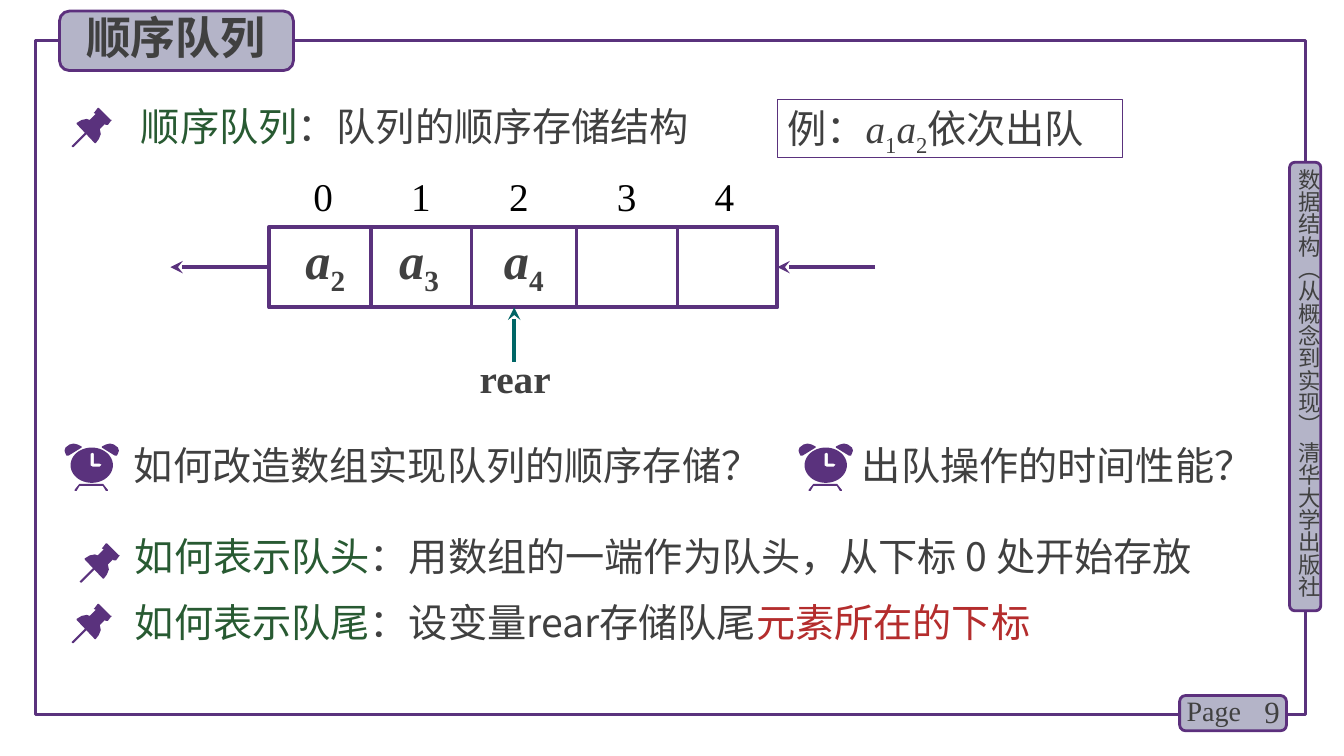
import math
from lxml import etree
from pptx import Presentation
from pptx import util as u
from pptx.dml.color import RGBColor
from pptx.enum import shapes as s, text as t
from pptx.oxml.ns import qn

PX = 9144
SANS, SERIF = "Noto Sans CJK SC", "Times New Roman"
COLOURS = {"purple": "5A327D", "edge": "5C307D", "panel": "B4B4C8", "ink": "404040",
           "green": "285A32", "red": "B42D2D", "teal": "006666", "black": "000000"}
RGB = {name: RGBColor.from_string(value) for name, value in COLOURS.items()}

deck = Presentation()
deck.slide_width, deck.slide_height = 1333 * PX, 750 * PX
page = deck.slides.add_slide(deck.slide_layouts[6])


def write(box, runs, size, font=SANS, align="LEFT", anchor="TOP"):
    frame = box.text_frame
    frame.word_wrap = True
    frame.vertical_anchor = t.MSO_ANCHOR[anchor]
    para = frame.paragraphs[0]
    para.alignment = t.PP_ALIGN[align]
    for words, colour, style in runs:
        span = para.add_run()
        span.text = words
        span.font.color.rgb = RGB[colour]
        look = {"size": u.Pt(size), "name": font, "bold": "b" in style, "italic": "i" in style}
        for name, value in look.items():
            setattr(span.font, name, value)
        props = span._r.get_or_add_rPr()
        etree.SubElement(props, qn("a:ea")).set("typeface", SANS)
        if "_" in style:
            props.set("baseline", "-25000")
    return box


def paint(shape, fill, line=None, width=0):
    shape.shadow.inherit = False
    if fill:
        shape.fill.solid()
        shape.fill.fore_color.rgb = RGB[fill]
    else:
        shape.fill.background()
    if line:
        shape.line.color.rgb = RGB[line]
        shape.line.width = u.Pt(width)
    else:
        shape.line.fill.background()


panels = {}
for name, kind, place, fill, line, width in [
    ("frame", "RECTANGLE", (35, 40, 1260, 669), None, "purple", 2.25),
    ("book", "ROUNDED_RECTANGLE", (1279, 161, 31, 445), "panel", "edge", 2),
    ("number", "ROUNDED_RECTANGLE", (1170, 690, 106, 35), "panel", "edge", 2),
    ("title", "ROUNDED_RECTANGLE", (59, 11, 232, 59), "panel", "edge", 2),
    ("example", "RECTANGLE", (771, 99, 342, 57), None, "purple", 0.75),
    ("array", "RECTANGLE", (267, 225, 504, 80), None, "purple", 3),
]:
    panels[name] = page.shapes.add_shape(s.MSO_SHAPE[kind], *[v * PX for v in place])
    paint(panels[name], fill, line, width)

write(panels["example"], [("例：", "ink", ""), ("a", "ink", "i"), ("1", "ink", "_"),
                          ("a", "ink", "i"), ("2", "ink", "_"), ("依次出队", "ink", "")], 28, SERIF)

labels = [
    ((1220, 686, 59, 40), [("9", "ink", "")], 22, SERIF, "RIGHT", "MIDDLE"),
    ((1167, 683, 78, 44), [("Page", "ink", "")], 20, SERIF),
    ((71, 5, 207, 64), [("顺序队列", "ink", "b")], 32, SANS, "CENTER"),
    ((130, 97, 592, 57), [("顺序队列", "green", ""), ("：队列的顺序存储结构", "ink", "")], 28),
    ((123, 433, 648, 57), [("如何改造数组实现队列的顺序存储？", "ink", "")], 28),
    ((845, 433, 415, 57), [("出队操作的时间性能？", "ink", "")], 28),
    ((124, 523, 1130, 57), [("如何表示队头", "green", ""),
                            ("：用数组的一端作为队头，从下标 0 处开始存放", "ink", "")], 28),
    ((124, 589, 1016, 57), [("如何表示队尾", "green", ""), ("：设变量rear存储队尾", "ink", ""),
                            ("元素所在的下标", "red", "")], 28),
    ((466, 347, 113, 57), [("rear", "ink", "b")], 28, SERIF),
]
for index, left in zip("234", (293, 386, 490)):
    labels.append(((left, 222, 64, 70), [("a", "ink", "bi"), (index, "ink", "b_")], 36, SERIF))
for place, *content in labels:
    write(page.shapes.add_textbox(*[v * PX for v in place]), *content)

book = page.shapes.add_textbox(1285 * PX, 167 * PX, 27 * PX, 449 * PX)
for side in ("left", "top", "right", "bottom"):
    setattr(book.text_frame, f"margin_{side}", 0)
book.text_frame._txBody.bodyPr.set("vert", "eaVert")
write(book, [("数据结构（从概念到实现） 清华大学出版社", "ink", "")], 16)

indexes = page.shapes.add_textbox(301 * PX, 166 * PX, 465 * PX, 57 * PX)
tabs = etree.SubElement(indexes.text_frame.paragraphs[0]._p.get_or_add_pPr(), qn("a:tabLst"))
for stop in (97, 194, 301, 398):
    etree.SubElement(tabs, qn("a:tab"), pos=str(stop * PX), algn="l")
write(indexes, [("0\t1\t2\t3\t4", "black", "")], 28, SERIF)

lines = [((x, 225, x, 305), "purple", 2.25, None) for x in (368, 468, 572, 672)]
lines += [((868, 265, 771, 265), "purple", 3, "enter"),
          ((267, 265, 169, 265), "purple", 3, "leave"),
          ((510, 359, 510, 305), "teal", 3, "rear")]
for ends, colour, width, arrow in lines:
    line = page.shapes.add_connector(s.MSO_CONNECTOR.STRAIGHT, *[v * PX for v in ends])
    line.line.color.rgb = RGB[colour]
    line.line.width = u.Pt(width)
    if arrow:
        etree.SubElement(line.line._get_or_add_ln(), qn("a:tailEnd"), type="stealth")
    if arrow == "enter":
        line.end_connect(panels["array"], 3)
    if arrow == "leave":
        line.begin_connect(panels["array"], 1)
    etree.SubElement(line._element.spPr, qn("a:effectLst"))

pin_head = [(39, 12), (27, 0), (26, 0), (23, 4), (22, 5), (24, 6), (18, 12), (15, 11), (10, 12),
            (5, 15), (5, 16), (23, 35), (24, 35), (27, 31), (29, 26), (28, 21), (33, 16),
            (34, 17), (36, 17), (39, 13), (40, 12)]
pin_needle = [(2, 39), (1, 39), (0, 38), (1, 37), (14, 24), (15, 24), (16, 25), (15, 26)]
legs = [(43, 46), (39, 41), (38, 40), (15, 40), (14, 41), (10, 46), (10, 47), (12, 47),
        (15, 42), (38, 42), (41, 47), (43, 47)]
left_bell = [(9, 0), (5, 1), (1, 4), (0, 7), (1, 10), (2, 12), (4, 12), (17, 4), (17, 3), (13, 1)]
right_bell = [(54 - x, y) for x, y in left_bell]
turns = [math.tau * step / 48 for step in range(48)]
face = [(27 + 21 * math.cos(turn), 21.5 + 17.5 * math.sin(turn)) for turn in turns]
hands = [(35, 23), (28, 23), (26, 22), (26, 10), (28, 9), (29, 10), (29, 20), (35, 20), (37, 21)]
pin = [[pin_head], [pin_needle]]
clock = [[legs], [left_bell], [right_bell], [face, hands]]

for icon, left, top in [(pin, 71, 107), (pin, 79, 539), (pin, 71, 599),
                        (clock, 64, 440), (clock, 792, 440)]:
    for part in icon:
        contours = [[((left + x) * PX, (top + y) * PX) for x, y in ring] for ring in part]
        builder = page.shapes.build_freeform(*contours[0][0])
        for ring in contours:
            builder.move_to(*ring[0])
            builder.add_line_segments(ring[1:], close=True)
        paint(builder.convert_to_shape(), "purple")

deck.save("out.pptx")
